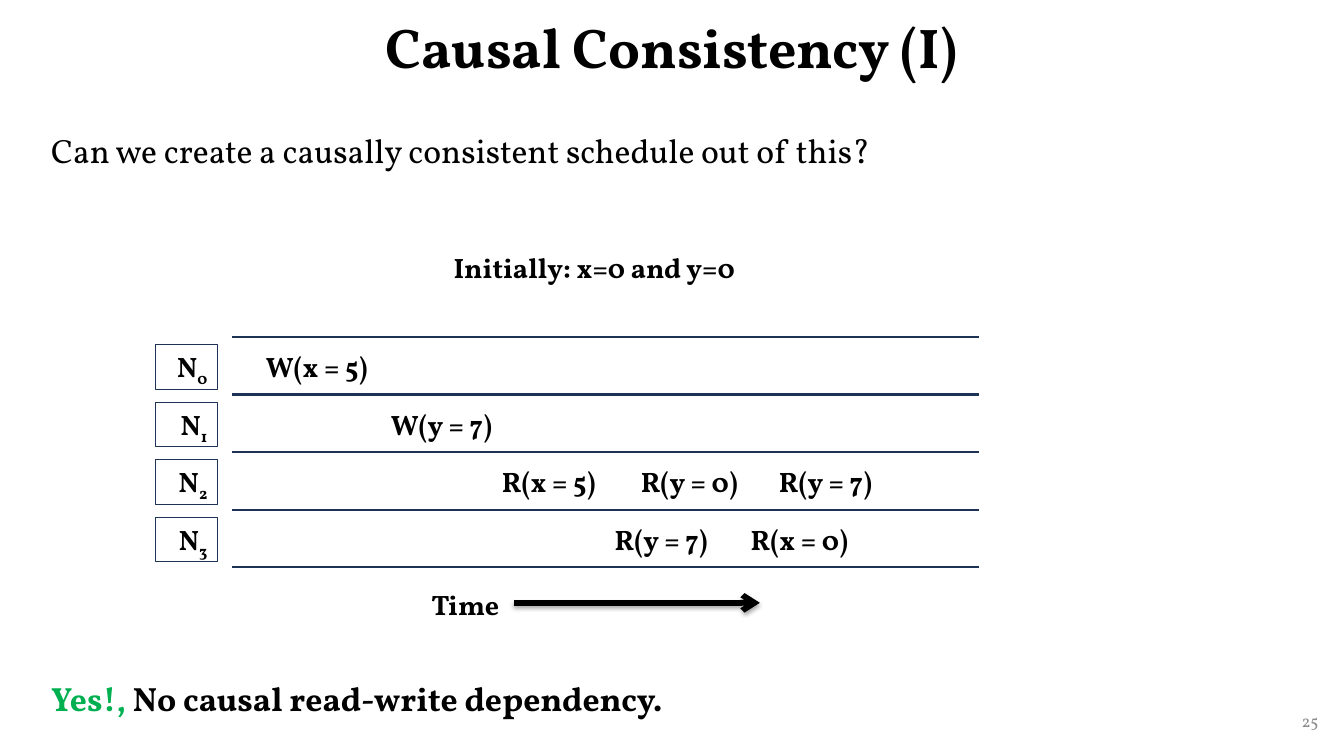
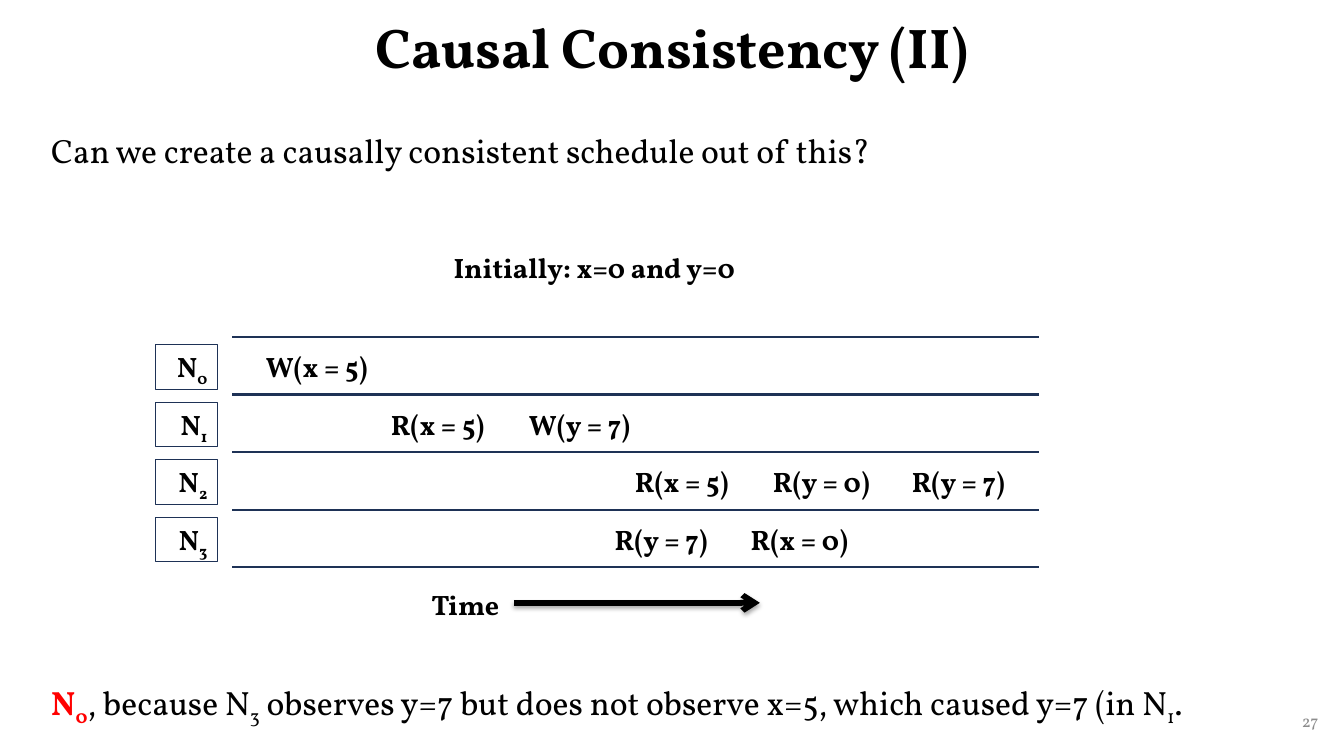
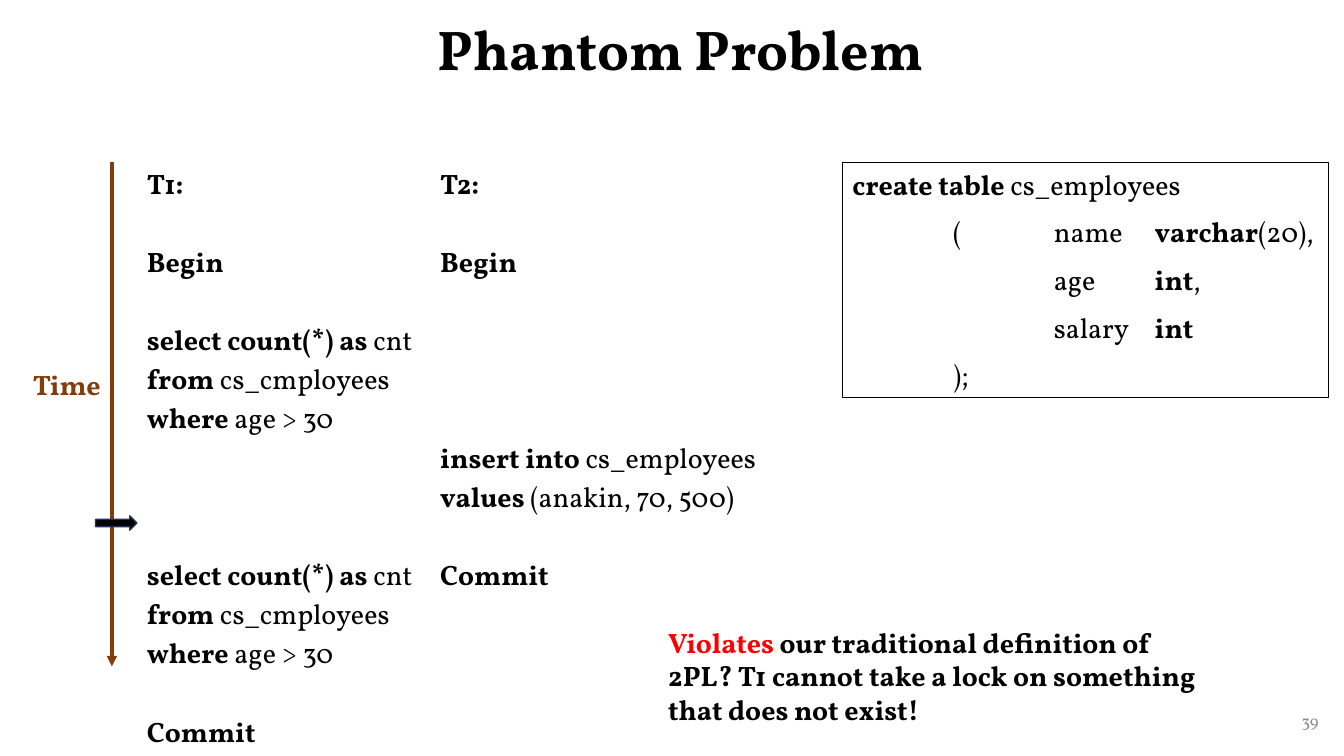
from lxml.etree import SubElement
from pptx import Presentation
from pptx.dml.color import RGBColor
from pptx.enum.shapes import MSO_CONNECTOR, MSO_SHAPE
from pptx.enum.text import MSO_ANCHOR, PP_ALIGN
from pptx.oxml.ns import qn
from pptx.util import Cm, Pt

FONT = "Vollkorn"
BLACK, NAVY, GRAY = "000000", "1E3256", "8C8C8C"
RED, GREEN, BROWN = "FF0000", "00B050", "843C0B"
BOLD = {"bold": True}
SUBSCRIPT = {"baseline": -25}

LANES = 4
LANE_TOP, LANE_PITCH, LANE_LEFT = 8.49, 1.45, 5.85
TABLE_LINE = 28  # points one line of table text takes


def color(value):
    return RGBColor.from_string(value)


def add_run(paragraph, text, size=20, fill=BLACK, bold=False, baseline=0):
    run = paragraph.add_run()
    run.text = text
    font = run.font
    font.name, font.size, font.bold = FONT, Pt(size), bold
    font.color.rgb = color(fill)
    if baseline:
        font._element.set("baseline", str(baseline * 1000))


def write_paragraph(paragraph, runs, align=PP_ALIGN.LEFT, spacing=1.0, before=0, **style):
    """Fill a paragraph from a string or from (text, format overrides) pairs."""
    paragraph.alignment = align
    paragraph.line_spacing = spacing
    paragraph.space_before = Pt(before)
    if isinstance(runs, str):
        runs = [(runs, {})]
    for text, overrides in runs:
        add_run(paragraph, text, **{**style, **overrides})


def next_paragraph(frame, index):
    return frame.add_paragraph() if index else frame.paragraphs[0]


class Deck:
    def __init__(self):
        self.presentation = Presentation()
        self.presentation.slide_width = Cm(33.87)
        self.presentation.slide_height = Cm(19.05)
        self.slide = None

    def start_slide(self, title, number, left=2.33, top=0.02):
        layout = self.presentation.slide_layouts.get_by_name("Title Only")
        self.slide = self.presentation.slides.add_slide(layout)
        shape = self.slide.shapes.title
        shape.left, shape.top = Cm(left), Cm(top)
        shape.width, shape.height = Cm(29.21), Cm(2.51)
        frame = shape.text_frame
        frame.vertical_anchor = MSO_ANCHOR.MIDDLE
        write_paragraph(frame.paragraphs[0], title, align=PP_ALIGN.CENTER,
                        spacing=0.9, size=40, bold=True)
        self.text(number, 25.86, 17.65, 7.62, 1.02, anchor=MSO_ANCHOR.MIDDLE,
                  align=PP_ALIGN.RIGHT, size=12, fill=GRAY)

    def text(self, runs, left, top, width, height=1.12, anchor=MSO_ANCHOR.TOP, **style):
        box = self.slide.shapes.add_textbox(Cm(left), Cm(top), Cm(width), Cm(height))
        frame = box.text_frame
        frame.word_wrap = True
        frame.vertical_anchor = anchor
        write_paragraph(frame.paragraphs[0], runs, **style)

    def shape(self, kind, left, top, width, height, line, line_width=0.75, fill=None):
        shape = self.slide.shapes.add_shape(kind, Cm(left), Cm(top), Cm(width), Cm(height))
        shape.shadow.inherit = False
        shape.line.color.rgb = color(line)
        shape.line.width = Pt(line_width)
        if fill:
            shape.fill.solid()
            shape.fill.fore_color.rgb = color(fill)
        else:
            shape.fill.background()
        frame = shape.text_frame
        frame.word_wrap = True
        frame.vertical_anchor = MSO_ANCHOR.TOP
        return frame

    def line(self, start, end, line, width, head=None, shadow=False):
        connector = self.slide.shapes.add_connector(
            MSO_CONNECTOR.STRAIGHT, *(Cm(value) for value in (*start, *end)))
        connector.line.color.rgb = color(line)
        connector.line.width = Pt(width)
        if head:
            SubElement(connector.line._get_or_add_ln(), qn("a:tailEnd"), type=head)
        effects = SubElement(connector._element.spPr, qn("a:effectLst"))
        if shadow:
            outer = SubElement(effects, qn("a:outerShdw"), blurRad="40000",
                               dist="23000", dir="5400000", rotWithShape="0")
            black = SubElement(outer, qn("a:srgbClr"), val=BLACK)
            SubElement(black, qn("a:alpha"), val="35000")

    def table(self, columns, widths, left, top, height):
        """Draw one row; each column lists (blank lines before, runs)."""
        frame = self.slide.shapes.add_table(
            1, len(columns), Cm(left), Cm(top), Cm(sum(widths)), Cm(height))
        table = frame.table
        table.first_row = table.horz_banding = False
        for index, (paragraphs, width) in enumerate(zip(columns, widths)):
            table.columns[index].width = Cm(width)
            cell = table.cell(0, index)
            cell.fill.background()
            for position, (blank_lines, runs) in enumerate(paragraphs):
                write_paragraph(next_paragraph(cell.text_frame, position), runs,
                                before=blank_lines * TABLE_LINE)

    def code(self, lines, left, top, width, height):
        frame = self.shape(MSO_SHAPE.RECTANGLE, left, top, width, height, BLACK)
        for index, runs in enumerate(lines):
            paragraph = next_paragraph(frame, index)
            tabs = SubElement(paragraph._p.get_or_add_pPr(), qn("a:tabLst"))
            for stop in (1, 2, 3):
                SubElement(tabs, qn("a:tab"), pos=str(Cm(2.54 * stop)), algn="l")
            write_paragraph(paragraph, runs, before=10 if index else 0)

    def schedule(self, title, number, lane_end, operations, conclusion):
        """Draw a consistency slide; operations hold, per lane, (left, text) pairs."""
        self.start_slide(title, number)
        self.text("Can we create a causally consistent schedule out of this?",
                  1.04, 3.26, 32.8, 1.5, size=24, spacing=0.9)
        self.text("Initially: x=0 and y=0", 11.18, 6.2, 8.15, bold=True)
        for index in range(LANES + 1):
            y = LANE_TOP + index * LANE_PITCH
            self.line((LANE_LEFT, y), (lane_end, y), NAVY, 1.5)
        for index, lane in enumerate(operations):
            y = LANE_TOP + index * LANE_PITCH + 0.2
            frame = self.shape(MSO_SHAPE.RECTANGLE, 3.92, y, 1.56, 1.12, NAVY)
            write_paragraph(frame.paragraphs[0], [("N", {}), (str(index), SUBSCRIPT)],
                            align=PP_ALIGN.RIGHT, bold=True)
            for left, operation in lane:
                self.text(operation, left, y, 3.3, bold=True)
        self.text("Time", 10.62, 14.68, 2.34, bold=True)
        self.line((12.95, 15.19), (19.15, 15.19), BLACK, 4, head="arrow", shadow=True)
        self.text(conclusion, 1.04, 17.07, 30.78, 1.73, size=24, spacing=0.9)


def add_phantom_slide(deck):
    deck.start_slide("Phantom Problem", "39", left=2.54, top=0.07)

    def query(blank_lines):
        return [
            (blank_lines, [("select count(*) as ", BOLD), ("cnt", {})]),
            (0, [("from ", BOLD), ("cs_cmployees", {})]),
            (0, [("where", BOLD), (" age > 30", {})]),
        ]

    begin, commit = (1, [("Begin", BOLD)]), (1, [("Commit", BOLD)])
    first = [(0, [("T1:", BOLD)]), begin, *query(1), *query(3), commit]
    second = [
        (0, [("T2:", BOLD)]),
        begin,
        (4, [("insert into ", BOLD), ("cs_employees", {})]),
        (0, [("values", BOLD), (" (anakin, 70, 500)", {})]),
        commit,
    ]
    deck.table([first, second], [7.39, 8.64], 3.45, 4.09, 8.53)

    deck.line((2.82, 4.09), (2.82, 16.79), BROWN, 2.5, head="triangle")
    deck.text("Time", 0.58, 9.13, 2.34, fill=BROWN, bold=True)
    deck.shape(MSO_SHAPE.RIGHT_ARROW, 2.41, 13, 1.04, 0.36, NAVY, 1, fill=BLACK)
    deck.code([
        [("create table ", BOLD), ("cs_employees", {})],
        [("\t(\tname\t", {}), ("varchar", BOLD), ("(20),", {})],
        [("\t\tage\t", {}), ("int", BOLD), (",", {})],
        [("\t\tsalary\t", {}), ("int", BOLD)],
        [("\t);", {})],
    ], 21.23, 4.09, 12.24, 5.92)
    deck.text([
        ("Violates", {"fill": RED}),
        (" our traditional definition of 2PL? T1 cannot take a lock on "
         "something that does not exist!", {}),
    ], 16.59, 15.63, 14.02, 2.82, bold=True)


def main():
    deck = Deck()
    first_write = [(6.45, "W(x = 5)")]
    last_reads = [(15.24, "R(y = 7)"), (18.67, "R(x = 0)")]
    deck.schedule("Causal Consistency (I)", "25", 24.66, [
        first_write,
        [(9.6, "W(y = 7)")],
        [(12.4, "R(x = 5)"), (15.9, "R(y = 0)"), (19.38, "R(y = 7)")],
        last_reads,
    ], [
        ("Yes!, ", {"fill": GREEN, "bold": True}),
        ("No causal read-write dependency.", BOLD),
    ])
    refusal = {"fill": RED, "bold": True}
    deck.schedule("Causal Consistency (II)", "27", 26.19, [
        first_write,
        [(9.6, "R(x = 5)"), (13.08, "W(y = 7)")],
        [(15.75, "R(x = 5)"), (19.23, "R(y = 0)"), (22.73, "R(y = 7)")],
        last_reads,
    ], [
        ("N", refusal),
        ("0", {**refusal, **SUBSCRIPT}),
        (", because N", {}),
        ("3", SUBSCRIPT),
        (" observes y=7 but does not observe x=5, which caused y=7 (in N", {}),
        ("1", SUBSCRIPT),
        (".", {}),
    ])
    add_phantom_slide(deck)
    deck.presentation.save("out.pptx")


if __name__ == "__main__":
    main()
